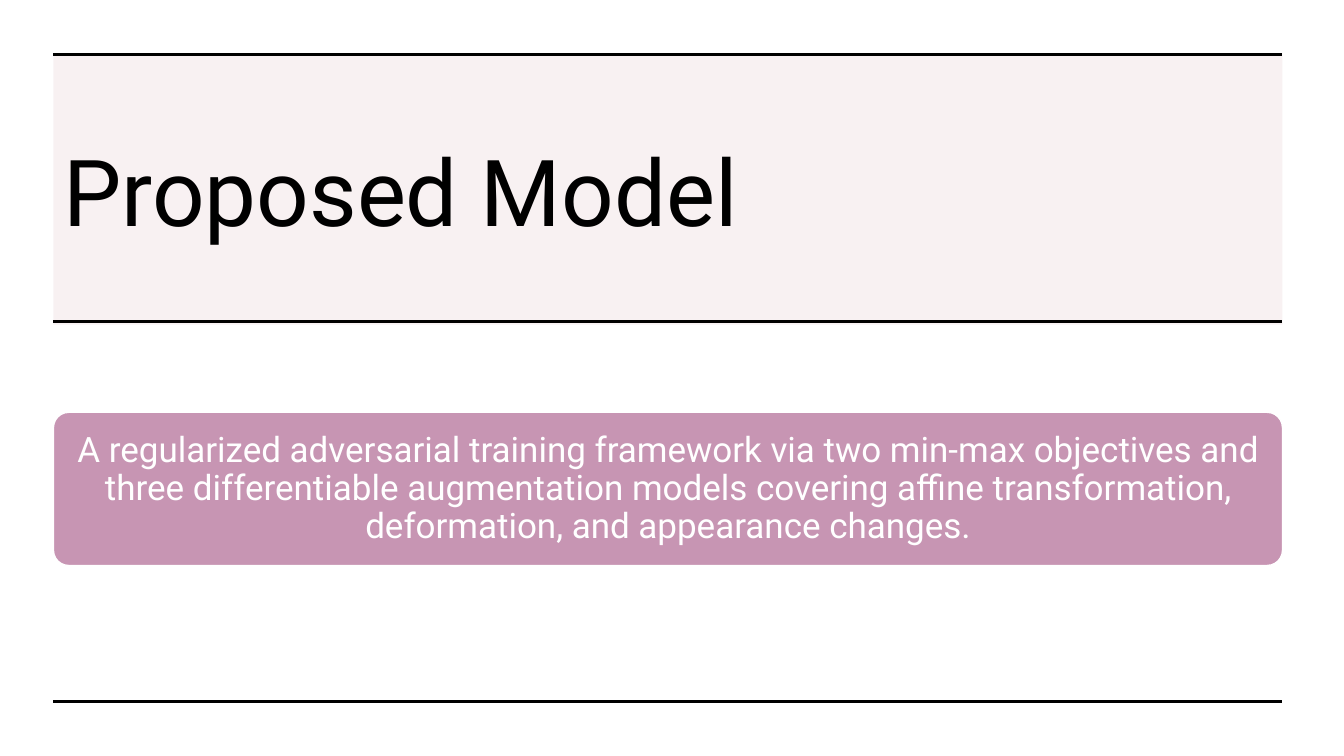
"""Build the Proposed Model slide."""
from lxml import etree
from pptx import Presentation, util as u
from pptx.dml.color import RGBColor
from pptx.enum import shapes, text
from pptx.oxml.ns import qn

TITLE = "Proposed Model\u00a0".replace("\u00a0", " ").rstrip()
SUMMARY = ("A regularized adversarial training framework via two min-max objectives "
           "and three differentiable augmentation models covering affine transformation, "
           "deformation, and appearance changes.")
BLACK, WHITE = RGBColor(0, 0, 0), RGBColor(255, 255, 255)
ROSE, MAUVE = RGBColor(0xBB, 0x7E, 0x89), RGBColor(0xC7, 0x95, 0xB3)
LEFT, WIDTH = 0.53, 12.19
RULES = (0.54, 3.19, 6.96)
BANNER = (LEFT, 0.53, WIDTH, 2.69)
HEADING = (LEFT, 1.07, 11.33, 1.63)
CARD = (LEFT, 4.09, WIDTH, 1.52)
INSET = 0.14


def box(s, kind, at, color):
    sp = s.shapes.add_shape(kind, *map(u.Inches, at))
    sp.shadow.inherit = False
    sp.fill.solid()
    sp.fill.fore_color.rgb = color
    sp.line.fill.background()
    return sp


def write(sp, words, size, color, align, inset):
    tf = sp.text_frame
    frame = dict(word_wrap=True, auto_size=text.MSO_AUTO_SIZE.NONE,
                 vertical_anchor=text.MSO_ANCHOR.MIDDLE,
                 margin_left=u.Inches(inset), margin_right=u.Inches(inset))
    for name, value in frame.items():
        setattr(tf, name, value)
    p = tf.paragraphs[0]
    p.alignment = align
    r = p.add_run()
    r.text = words
    for name, value in dict(name="Roboto", size=u.Pt(size), bold=False).items():
        setattr(r.font, name, value)
    r.font.color.rgb = color
    return p


def main():
    prs = Presentation()
    prs.slide_width, prs.slide_height = u.Inches(13.33), u.Inches(7.5)
    s = prs.slides.add_slide(prs.slide_layouts[5])

    title = s.shapes.title
    for name, value in zip(("left", "top", "width", "height"), HEADING):
        setattr(title, name, u.Inches(value))
    write(title, TITLE, 66, BLACK, text.PP_ALIGN.LEFT, 0.1)

    banner = box(s, shapes.MSO_SHAPE.RECTANGLE, BANNER, ROSE)
    tint = banner.fill._xPr.find(".//" + qn("a:srgbClr"))
    etree.SubElement(tint, qn("a:alpha"), val="10000")
    title.element.addprevious(banner.element)

    for y in RULES:
        rule = s.shapes.add_connector(shapes.MSO_CONNECTOR.STRAIGHT, *map(
            u.Inches, (LEFT, y, LEFT + WIDTH, y)))
        rule.line.color.rgb = BLACK
        rule.line.width = u.Pt(2.25)
        etree.SubElement(rule.element.spPr, qn("a:effectLst"))

    card = box(s, shapes.MSO_SHAPE.ROUNDED_RECTANGLE, CARD, MAUVE)
    card.adjustments[0] = 0.1
    card.line.color.rgb = WHITE
    card.line.width = u.Pt(1)
    p = write(card, SUMMARY, 25, WHITE, text.PP_ALIGN.CENTER, INSET)
    p.line_spacing = 0.9

    prs.save("out.pptx")


if __name__ == "__main__":
    main()
